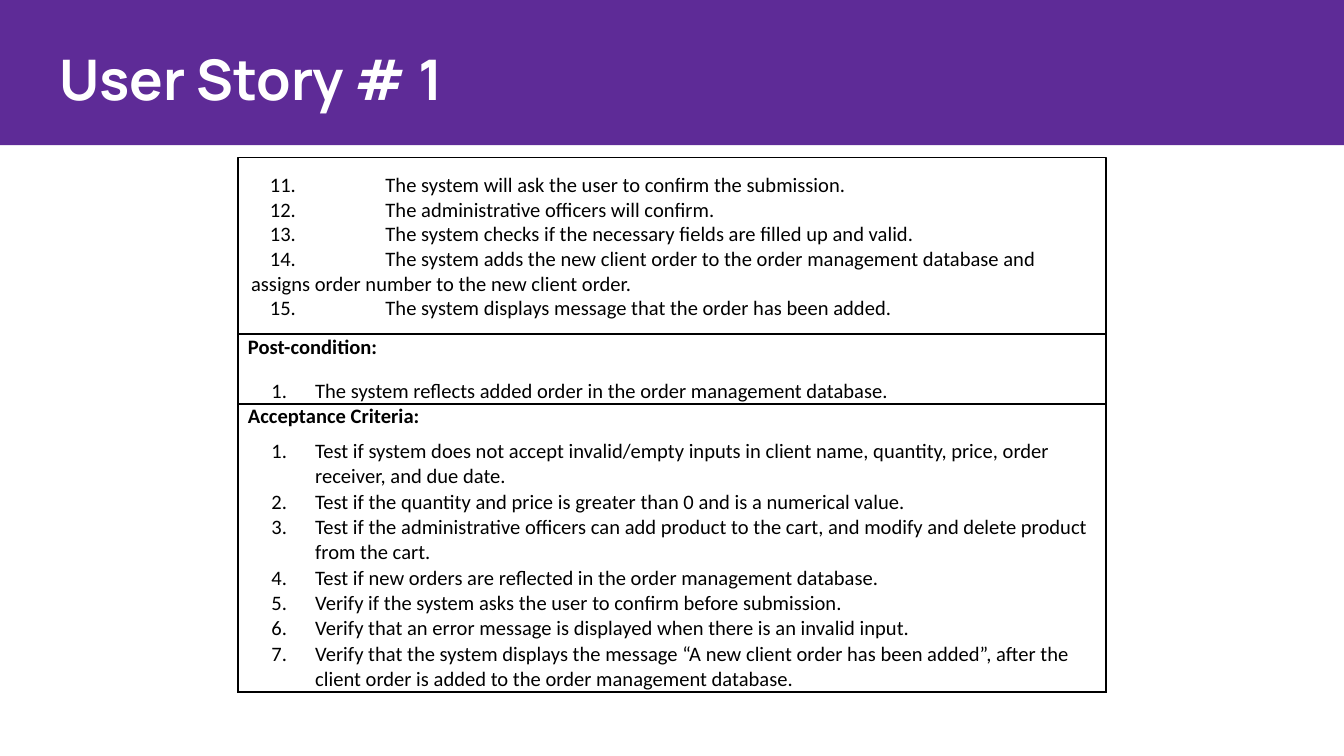
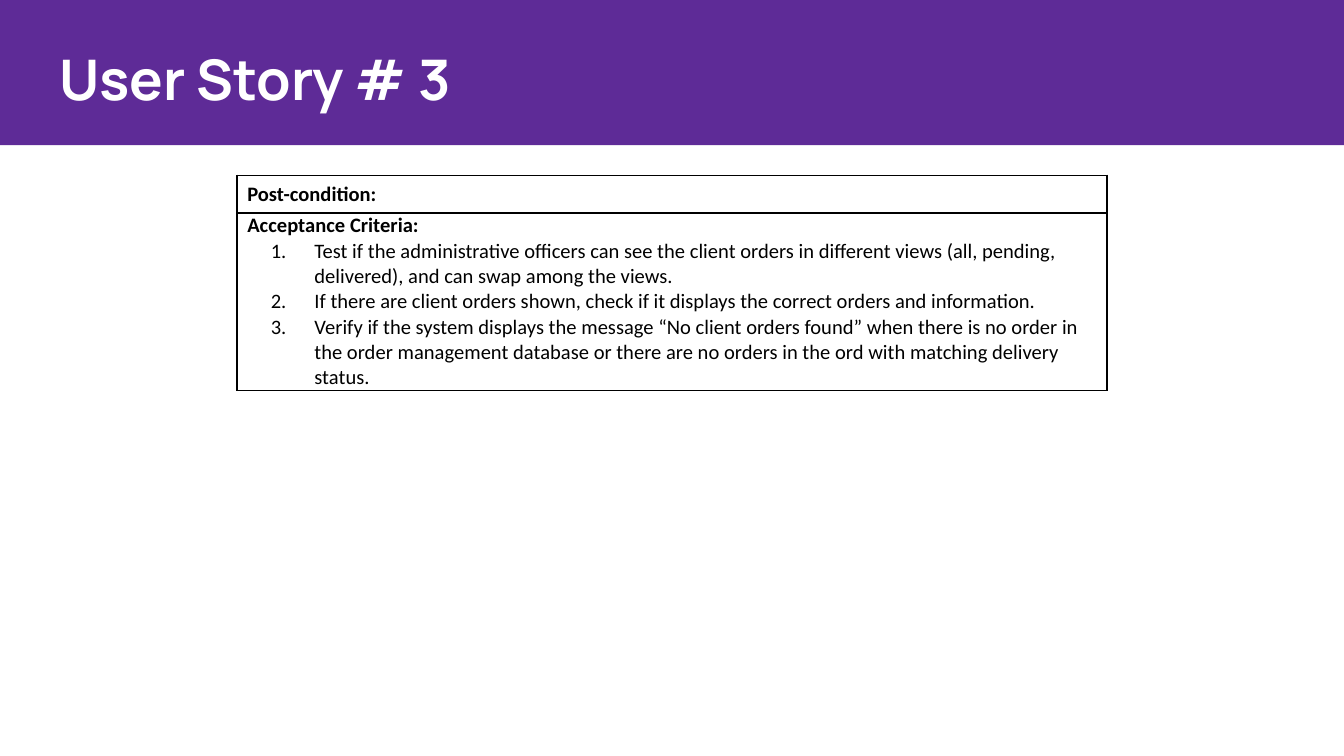
"""Build two user story slides, each with a title band and a bordered table."""
from pptx import Presentation, util as u
from pptx.dml.color import RGBColor
from pptx.enum import shapes, text
from pptx.oxml import parse_xml
from pptx.oxml.ns import nsdecls

PURPLE = RGBColor(0x5E, 0x2B, 0x97)
WHITE = RGBColor(0xFF, 0xFF, 0xFF)
BLACK = RGBColor(0, 0, 0)
PX = 4572
SIDES = ("L", "R", "T", "B")


def px(*nums):
    return [u.Emu(n * PX) for n in nums]


def xml(tag, attrs="", body=""):
    return parse_xml(f"<a:{tag} {nsdecls('a')} {attrs}>{body}</a:{tag}>")


def write(para, words, size=11, font="Calibri", color=BLACK, bold=False,
          before=0, after=0, left=0, first=0, mark=False, tab=200):
    run = para.add_run()
    run.text = words
    run.font.size, run.font.name, run.font.bold = u.Pt(size), font, bold
    run.font.color.rgb = color
    para.alignment = text.PP_ALIGN.LEFT
    para.space_before, para.space_after = u.Pt(before), u.Pt(after)
    props = para._p.get_or_add_pPr()
    for name, value in (("marL", left), ("indent", first), ("defTabSz", tab)):
        props.set(name, str(value * PX))
    if mark:
        props.append(xml("buFont", 'typeface="Calibri"'))
        props.append(xml("buAutoNum", 'type="arabicPeriod"'))


def fill(frame, lines):
    for i, (words, style) in enumerate(lines):
        para = frame.add_paragraph() if i else frame.paragraphs[0]
        write(para, words, **style)


def head(words, **style):
    return words, dict(bold=True, before=5, **style)


def item(words, **style):
    return words, dict(left=100, first=-65, mark=True, **style)


class Deck:
    """Hold the shared style and the current slide."""

    def __init__(self):
        self.prs = Presentation()
        self.prs.slide_width, self.prs.slide_height = px(2000, 1125)
        self.slide = None

    def page(self, title):
        self.slide = self.prs.slides.add_slide(self.prs.slide_layouts[5])
        band = self.rect(0, -5, 2020, 221, color=PURPLE)
        self.slide.shapes._spTree.insert(2, band._element)
        box = self.slide.shapes.title
        box.left, box.top, box.width, box.height = px(68, 49, 1864, 136)
        self.frame(box)
        write(box.text_frame.paragraphs[0], title, size=30, font="Manrope",
              color=WHITE, bold=True)

    def frame(self, box):
        frame = box.text_frame
        frame.word_wrap = True
        frame.auto_size = text.MSO_AUTO_SIZE.NONE
        frame.vertical_anchor = text.MSO_ANCHOR.MIDDLE
        frame.margin_left, frame.margin_right = px(20, 20)
        frame.margin_top, frame.margin_bottom = px(20, 20)
        return frame

    def rect(self, *place, color=None, line=None):
        box = self.slide.shapes.add_shape(shapes.MSO_SHAPE.RECTANGLE, *px(*place))
        box.shadow.inherit = False
        if color is None:
            box.fill.background()
        else:
            box.fill.solid()
            box.fill.fore_color.rgb = color
        if line is None:
            box.line.fill.background()
        else:
            box.line.color.rgb = line
            box.line.width = u.Pt(0.75)
        return box

    def label(self, lines, *place):
        box = self.slide.shapes.add_textbox(*px(*place))
        fill(self.frame(box), lines)

    def table(self, left, top, cols, rows, cells):
        size = px(left, top, sum(cols), sum(rows))
        grid = self.slide.shapes.add_table(len(rows), len(cols), *size).table
        grid.first_row = grid.horz_banding = False
        for col, wide in zip(grid.columns, px(*cols)):
            col.width = wide
        for row, tall in zip(grid.rows, px(*rows)):
            row.height = tall
        for cell in grid.iter_cells():
            self.edge(cell)
        for i, lines in enumerate(cells):
            cell = grid.cell(i, 0)
            cell.merge(grid.cell(i, len(cols) - 1))
            fill(cell.text_frame, lines)

    def edge(self, cell):
        cell.vertical_anchor = text.MSO_ANCHOR.MIDDLE
        cell.margin_left, cell.margin_right = px(15, 15)
        cell.margin_top = cell.margin_bottom = 0
        cell.fill.background()
        props = cell._tc.get_or_add_tcPr()
        paint = f'<a:solidFill><a:srgbClr val="{BLACK}"/></a:solidFill>'
        for i, side in enumerate(SIDES):
            props.insert(i, xml("ln" + side, f'w="{u.Pt(1)}"', paint))


STEPS = [
    "The system will ask the user to confirm the submission.",
    "The administrative officers will confirm.",
    "The system checks if the necessary fields are filled up and valid.",
    "The system adds the new client order to the order management database "
    "and assigns order number to the new client order.",
    "The system displays message that the order has been added.",
]
ADD = [
    "Test if the quantity and price is greater than 0 and is a numerical value.",
    "Test if the administrative officers can add product to the cart, and "
    "modify and delete product from the cart.",
    "Test if new orders are reflected in the order management database.",
    "Verify if the system asks the user to confirm before submission.",
    "Verify that an error message is displayed when there is an invalid input.",
    "Verify that the system displays the message “A new client order has been "
    "added”, after the client order is added to the order management database.",
]
VIEW = [
    "Test if the administrative officers can see the client orders in "
    "different views (all, pending, delivered), and can swap among the views.",
    "If there are client orders shown, check if it displays the correct "
    "orders and information.",
    "Verify if the system displays the message “No client orders found” when "
    "there is no order in the order management database or there are no "
    "orders in the ord with matching delivery status.",
]


def main():
    deck = Deck()
    post = head("Post-condition:", after=5)
    goal = head("Acceptance Criteria:")

    deck.page("User Story # 1")
    deck.table(354, 498, [638, 654], [56, 2], [
        [post, item("The system reflects added order in the order management "
                    "database.", before=5, after=5)],
        [goal, item("Test if system does not accept invalid/empty inputs in "
                    "client name, quantity, price, order receiver, and due "
                    "date.", before=5), *map(item, ADD)],
    ])
    steps = [(f"{n}.\t{step}", dict(first=28))
             for n, step in enumerate(STEPS, 11)]
    deck.label(steps, 354, 25, 1292, 682)
    deck.rect(354, 234, 1292, 263, line=BLACK)

    deck.page("User Story # 3")
    deck.table(353, 261, [640, 654], [56, 156],
               [[post], [goal, *map(item, VIEW)]])
    deck.prs.save("out.pptx")


if __name__ == "__main__":
    main()
